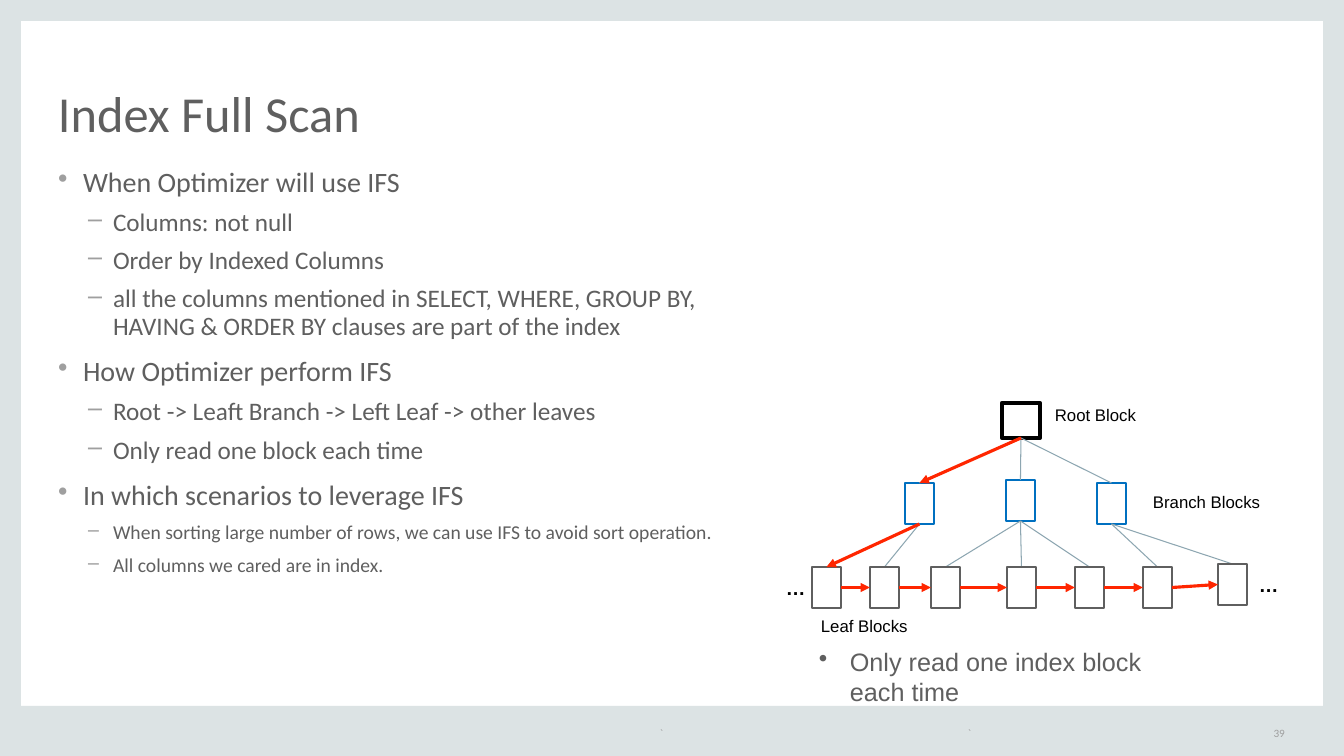
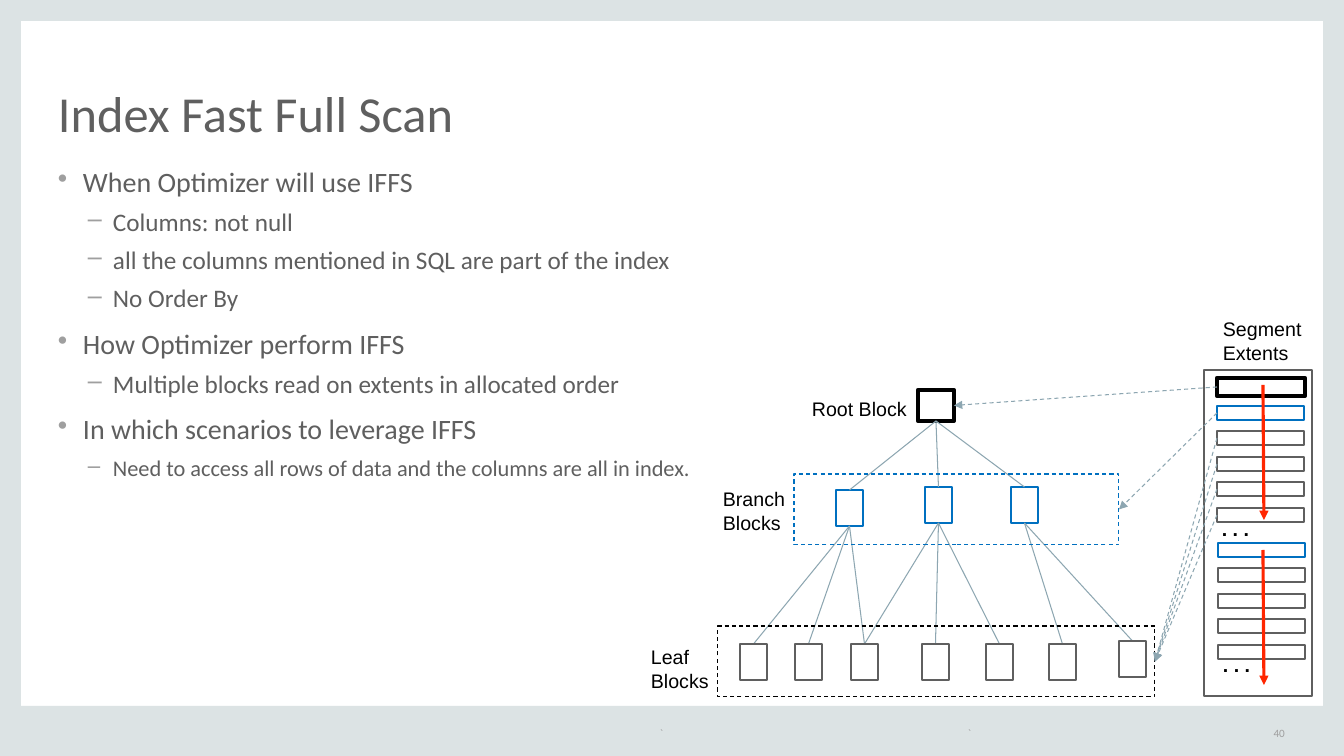
from collections import namedtuple
from dataclasses import dataclass
from itertools import pairwise
from lxml.etree import SubElement
from pptx import Presentation
from pptx.dml.color import RGBColor as RGB
from pptx.enum.dml import MSO_LINE as Dash
from pptx.enum.shapes import MSO_CONNECTOR as Wire, MSO_SHAPE as Shape
from pptx.enum.text import MSO_ANCHOR as Anchor, PP_ALIGN as Align
from pptx.oxml.ns import qn
from pptx.util import Pt

SCALE = 914400 / 100.8


def px(n):
    return round(n * SCALE)


@dataclass(frozen=True)
class Theme:
    band: str = "DCE3E4"
    gray: str = "5F5F5F"
    pale: str = "9F9F9F"
    black: str = "000000"
    blue: str = "0070C0"
    red: str = "FF2600"
    steel: str = "8DA6B1"
    sans: str = "Calibri"
    arial: str = "Arial"
    title: int = 36
    head: int = 20
    item: int = 18
    foot: int = 8
    thin: float = 0.75
    edge: float = 1.5
    bold: float = 2.25
    heavy: float = 3


class Box(namedtuple("Box", "x y w h")):
    @property
    def top(self):
        return self.x + self.w / 2, self.y

    @property
    def foot(self):
        return self.x + self.w / 2, self.y + self.h

    @property
    def left(self):
        return self.x, self.y + self.h / 2

    @property
    def right(self):
        return self.x + self.w, self.y + self.h / 2


class Deck:
    def __init__(self, theme):
        self.t = theme
        self.prs = Presentation()
        self.prs.slide_width, self.prs.slide_height = px(1344), px(756)

    def page(self, title, number):
        t = self.t
        self.slide = self.prs.slides.add_slide(self.prs.slide_layouts[6])
        for band in ((0, 0, 21, 755), (1323, 1, 21, 755),
                     (0, 706, 1344, 50), (0, 0, 1344, 21)):
            self.rect(Box(*band), fill=t.band)
        self.text(Box(58, 44, 1227, 98), title, t.title, t.gray, t.sans,
                  pad=False, anchor=Anchor.BOTTOM).line_spacing = 0.8
        for x, w, word, align in ((660, 308, "`", Align.LEFT),
                                  (968, 275, "`", Align.LEFT),
                                  (1243, 42, number, Align.RIGHT)):
            self.text(Box(x, 723, w, 20), word, t.foot, t.pale, t.sans,
                      pad=False, anchor=Anchor.MIDDLE).alignment = align

    def rect(self, box, color=None, width=1.5, fill=None, dash=False):
        shape = self.slide.shapes.add_shape(Shape.RECTANGLE, *map(px, box))
        shape.shadow.inherit = False
        if fill:
            shape.fill.solid()
            shape.fill.fore_color.rgb = RGB.from_string(fill)
        else:
            shape.fill.background()
        if color:
            self.pen(shape.line, color, width, dash)
        else:
            shape.line.fill.background()
        return box

    def pen(self, line, color, width, dash):
        line.color.rgb = RGB.from_string(color)
        line.width = Pt(width)
        if dash:
            line.dash_style = Dash.DASH

    def line(self, start, end, color=None, width=0.75, dash=False, arrow=False):
        wire = self.slide.shapes.add_connector(
            Wire.STRAIGHT, *map(px, (*start, *end)))
        self.pen(wire.line, color or self.t.steel, width, dash)
        if arrow:
            SubElement(wire.line._get_or_add_ln(), qn("a:tailEnd"), type="triangle")
        SubElement(wire._element.spPr, qn("a:effectLst"))

    def flow(self, start, end):
        self.line(start, end, self.t.red, self.t.bold, arrow=True)

    def frame(self, box, pad=True, anchor=Anchor.TOP):
        frame = self.slide.shapes.add_textbox(*map(px, box)).text_frame
        frame.word_wrap = True
        frame.vertical_anchor = anchor
        if not pad:
            frame.margin_left = frame.margin_right = 0
            frame.margin_top = frame.margin_bottom = 0
        return frame

    def style(self, para, size, color, font, bold=False):
        for run in para.runs:
            run.font.size = Pt(size)
            run.font.name = font
            run.font.bold = bold
            run.font.color.rgb = RGB.from_string(color)

    def text(self, box, words, size, color, font, bold=False, **look):
        frame = self.frame(box, **look)
        frame.text = words
        para = frame.paragraphs[0]
        self.style(para, size, color, font, bold)
        return para

    def label(self, box, words, size, bold=False):
        self.text(Box(*box), words, size, self.t.black, self.t.arial, bold)

    def bullet(self, para, sign, margin, hang, color):
        props = para._p.get_or_add_pPr()
        props.set("marL", str(px(margin)))
        props.set("indent", str(-px(hang)))
        tint = SubElement(props, qn("a:buClr"))
        SubElement(tint, qn("a:srgbClr"), val=color)
        SubElement(props, qn("a:buChar"), char=sign)

    def body(self, width, items):
        t = self.t
        frame = self.frame(Box(58, 168, width, 487), pad=False)
        for n, (level, words, size) in enumerate(items):
            para = frame.add_paragraph() if n else frame.paragraphs[0]
            para.text = words
            para.level = level
            para.line_spacing = 0.9
            para.space_before = Pt(8 if level else 12)
            self.bullet(para, "•–"[level], 55 if level else 25, 25, t.pale)
            self.style(para, size, t.gray, t.sans)

    def tree(self, root, twigs, leaves, kids):
        t = self.t
        self.rect(root, t.black, t.heavy)
        for twig, group in zip(twigs, kids):
            self.rect(twig, t.blue, t.edge)
            self.line(root.foot, twig.top)
            for n in group:
                self.line(twig.foot, leaves[n].top)
        for leaf in leaves:
            self.rect(leaf, t.gray, t.edge)


def row(xs, ys, w, h):
    return [Box(x, y, w, h) for x, y in zip(xs, ys)]


def full(deck):
    t = deck.t
    deck.page("Index Full Scan", "39")
    deck.body(710, [
        (0, "When Optimizer will use IFS", t.head),
        (1, "Columns: not null", t.item),
        (1, "Order by Indexed Columns", t.item),
        (1, "all the columns mentioned in SELECT, WHERE, GROUP BY, "
            "HAVING & ORDER BY clauses are part of the index", t.item),
        (0, "How Optimizer perform IFS", t.head),
        (1, "Root -> Leaft Branch -> Left Leaf -> other leaves", t.item),
        (1, "Only read one block each time", t.item),
        (0, "In which scenarios to leverage IFS", t.head),
        (1, "When sorting large number of rows, we can use IFS "
            "to avoid sort operation.", 14),
        (1, "All columns we cared are in index.", 14)])
    root = Box(1002, 403, 38, 35)
    twigs = row((905, 1006, 1097), (483, 480, 483), 29, 41)
    leaves = row((812, 870, 931, 1007, 1075, 1143, 1218),
                 [567] * 6 + [564], 29, 41)
    deck.tree(root, twigs, leaves, ((0, 1), (2, 3, 4), (5, 6)))
    deck.flow(root.foot, twigs[0].top)
    deck.flow(twigs[0].foot, leaves[0].top)
    for here, there in pairwise(leaves):
        deck.flow(here.right, there.left)
    for spot, words in (((811, 611, 121, 30), "Leaf Blocks"),
                        ((1045, 400, 121, 30), "Root Block"),
                        ((1143, 487, 146, 30), "Branch Blocks")):
        deck.label(spot, words, 12)
    for spot in ((1249, 568, 40, 32), (776, 571, 33, 32)):
        deck.label(spot, "…", 14, True)
    note = deck.text(Box(809, 641, 398, 39), "Only read one index block each time",
                     t.item, t.gray, t.arial)
    deck.bullet(note, "•", 31, 31, t.gray)


def fast(deck):
    t = deck.t
    deck.page("Index Fast Full Scan", "40")
    deck.body(1227, [
        (0, "When Optimizer will use IFFS", t.head),
        (1, "Columns: not null", t.item),
        (1, "all the columns mentioned in SQL are part of the index", t.item),
        (1, "No Order By", t.item),
        (0, "How Optimizer perform IFFS", t.head),
        (1, "Multiple blocks read on extents in allocated order", t.item),
        (0, "In which scenarios to leverage IFFS", t.head),
        (1, "Need to access all rows of data and the columns are all in index.", 16)])
    root = Box(918, 390, 36, 31)
    twigs = row((836, 925, 1011), (490, 487, 487), 27, 36)
    leaves = row((740, 795, 851, 922, 986, 1049, 1119),
                 [644] * 6 + [641], 27, 36)
    deck.tree(root, twigs, leaves, ((0, 1, 2), (2, 3, 4), (5, 6)))
    mid = deck.rect(Box(794, 474, 325, 71), t.blue, t.thin, dash=True)
    low = deck.rect(Box(718, 626, 437, 71), t.black, t.thin, dash=True)
    deck.rect(Box(1204, 370, 108, 326), t.gray, t.edge)
    bars = [deck.rect(Box(1217, 378, 88, 18), t.black, t.heavy)]
    for x, y in ((1217, 406), (1218, 543)):
        for n in range(5):
            bar = Box(x, y + round(25.4 * n), 87, 14)
            bars.append(deck.rect(bar, t.gray if n else t.blue, t.edge))
    for bar, goal in zip(bars, (root, mid, low, low, low, low)):
        deck.line(bar.left, goal.right, dash=True, arrow=True)
    for spot, words in (((641, 640, 89, 57), "Leaf Blocks"),
                        ((802, 392, 140, 34), "Root Block"),
                        ((713, 482, 86, 57), "Branch Blocks"),
                        ((1213, 312, 104, 57), "Segment Extents")):
        deck.label(spot, words, 14)
    for x, y in ((1212, 512), (1213, 648)):
        deck.label((x, y, 87, 34), ". . .", 14, True)
    for y in (385, 550):
        deck.flow((1263, y), (1264, y + 135))


deck = Deck(Theme())
full(deck)
fast(deck)
deck.prs.save("out.pptx")
